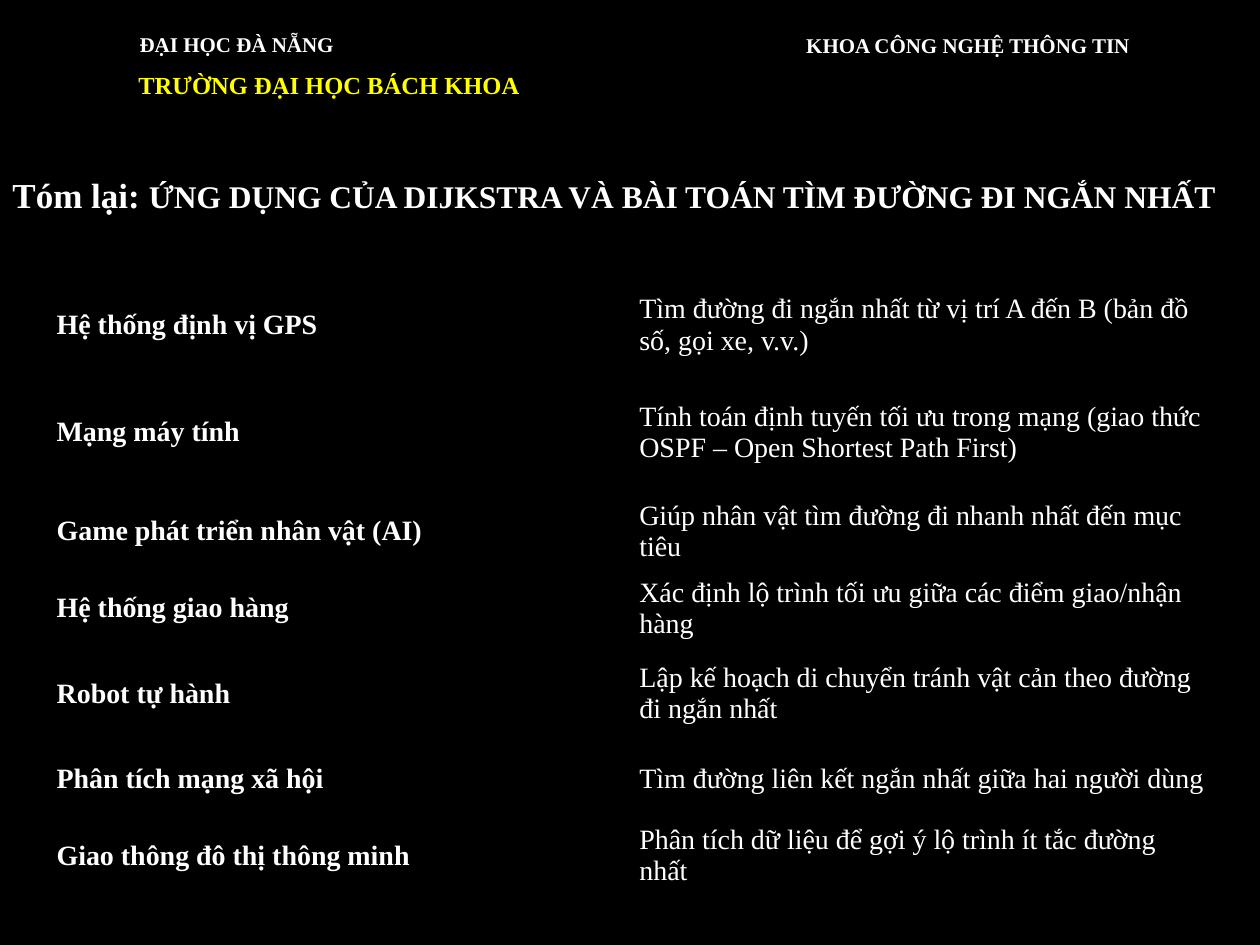
import pptx
import pptx.util
import pptx.dml.color
import pptx.enum.text
import pptx.oxml.ns

deck = pptx.Presentation()
deck.slide_width = pptx.util.Inches(10)
deck.slide_height = pptx.util.Inches(7.5)
wide, high = deck.slide_width, deck.slide_height
slide = deck.slides.add_slide(deck.slide_layouts[6])


def tint(code):
    return pptx.dml.color.RGBColor.from_string(code)


def style(run, size, code, bold=True):
    run.font.name = "Times New Roman"
    run.font.size = pptx.util.Pt(size)
    run.font.bold = bold
    run.font.color.rgb = tint(code)


back = slide.background.fill
back.solid()
back.fore_color.rgb = tint("000000")

head = slide.shapes.add_group_shape()
labels = [
    (head, 0.101, 0.2, 0.176, 0.3, [("ĐẠI HỌC ĐÀ NẴNG", 12)], "FFFFFF"),
    (head, 0.1, 0.51, 0.325, 0.34, [("TRƯỜNG ĐẠI HỌC BÁCH KHOA", 14)], "FFFF00"),
    (head, 0.63, 0.21, 0.281, 0.3, [("KHOA CÔNG NGHỆ THÔNG TIN", 12)], "FFFFFF"),
    (slide, 0, 1.33, 0.989, 0.44, [
        ("Tóm lại: ", 20),
        ("ỨNG DỤNG CỦA DIJKSTRA VÀ BÀI TOÁN TÌM ĐƯỜNG ĐI NGẮN NHẤT", 18),
    ], "FFFFFF"),
]
for home, left, top, width, height, parts, code in labels:
    box = home.shapes.add_textbox(
        int(left * wide), int(top / 7.5 * high),
        int(width * wide), int(height / 7.5 * high))
    frame = box.text_frame
    frame.word_wrap = False
    frame.auto_size = pptx.enum.text.MSO_AUTO_SIZE.SHAPE_TO_FIT_TEXT
    for text, size in parts:
        run = frame.paragraphs[0].add_run()
        run.text = text
        style(run, size, code)

uses = [
    (0.74, "Hệ thống định vị GPS",
     "Tìm đường đi ngắn nhất từ vị trí A đến B (bản đồ số, gọi xe, v.v.)"),
    (0.96, "Mạng máy tính",
     "Tính toán định tuyến tối ưu trong mạng (giao thức OSPF – Open Shortest Path First)"),
    (0.61, "Game phát triển nhân vật (AI)",
     "Giúp nhân vật tìm đường đi nhanh nhất đến mục tiêu"),
    (0.61, "Hệ thống giao hàng",
     "Xác định lộ trình tối ưu giữa các điểm giao/nhận hàng"),
    (0.74, "Robot tự hành",
     "Lập kế hoạch di chuyển tránh vật cản theo đường đi ngắn nhất"),
    (0.61, "Phân tích mạng xã hội",
     "Tìm đường liên kết ngắn nhất giữa hai người dùng"),
    (0.61, "Giao thông đô thị thông minh",
     "Phân tích dữ liệu để gợi ý lộ trình ít tắc đường nhất"),
]
total = sum(use[0] for use in uses)
shape = slide.shapes.add_table(
    len(uses), 2, int(0.038 * wide), int(2.21 / 7.5 * high),
    int(0.925 * wide), int(total / 7.5 * high))
grid = shape.table
grid.first_row = False
grid.horz_banding = False
look = shape._element.find(".//" + pptx.oxml.ns.qn("a:tableStyleId"))
look.text = "{2D5ABB26-0587-4C30-8999-92F81FD0307C}"

for row, (height, *texts) in enumerate(uses):
    grid.rows[row].height = int(height / 7.5 * high)
    for col, text in enumerate(texts):
        cell = grid.cell(row, col)
        cell.fill.background()
        cell.vertical_anchor = pptx.enum.text.MSO_ANCHOR.MIDDLE
        cell.margin_left = cell.margin_right = pptx.util.Inches(0.07)
        cell.margin_top = cell.margin_bottom = pptx.util.Inches(0.04)
        cell.text_frame.text = text
        style(cell.text_frame.paragraphs[0].runs[0], 16, "FFFFFF", col == 0)

deck.save("out.pptx")
